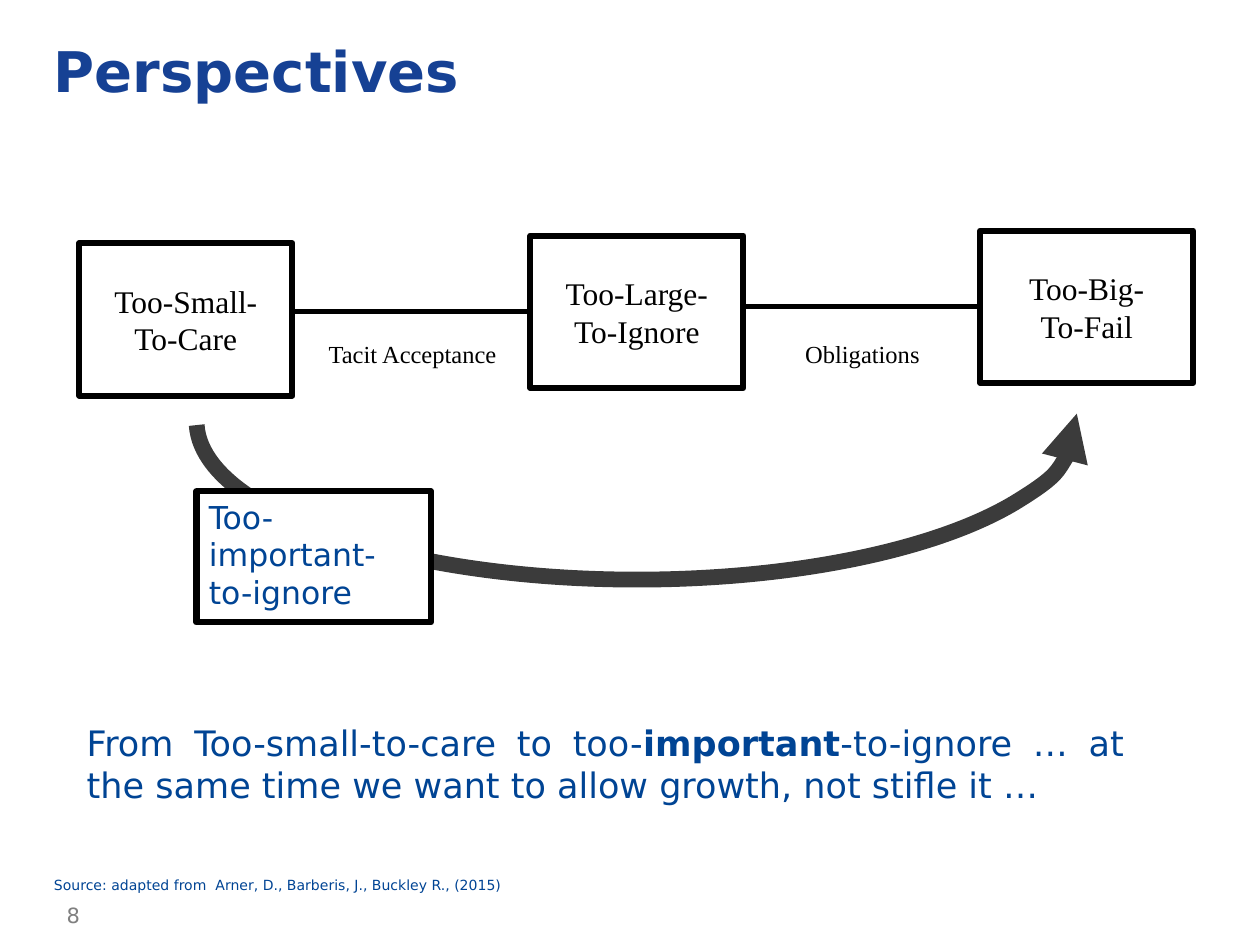
from lxml.etree import SubElement
from pptx import Presentation
from pptx.dml.color import RGBColor
from pptx.enum.shapes import MSO_CONNECTOR, MSO_SHAPE
from pptx.enum.text import MSO_ANCHOR, PP_ALIGN
from pptx.oxml.ns import qn
from pptx.util import Inches, Pt

BLACK = RGBColor(0x00, 0x00, 0x00)
WHITE = RGBColor(0xFF, 0xFF, 0xFF)
TITLE_BLUE = RGBColor(0x16, 0x41, 0x94)
TEXT_BLUE = RGBColor(0x00, 0x44, 0x94)
GREY = RGBColor(0x80, 0x80, 0x80)

SANS, SERIF = "DejaVu Sans", "Times New Roman"
BODY = {"alignment": PP_ALIGN.JUSTIFY, "space_after": Pt(18)}
CENTRED = {"alignment": PP_ALIGN.CENTER}
STAGE_SIZE = (1.69, 1.21)


class SlideBuilder:
    def __init__(self, slide):
        self.slide = slide

    def add_paragraphs(self, frame, paragraphs, size, color, font=SANS,
                       paragraph_format=None, bold=False, **frame_format):
        """Fill a frame; each paragraph is a list of strings, every second one bold."""
        for name, value in {"word_wrap": True, **frame_format}.items():
            setattr(frame, name, value)
        for index, parts in enumerate(paragraphs):
            paragraph = frame.paragraphs[0] if index == 0 else frame.add_paragraph()
            for name, value in (paragraph_format or {}).items():
                setattr(paragraph, name, value)
            for position, part in enumerate(parts):
                run = paragraph.add_run()
                run.text = part
                run.font.color.rgb = color
                font_format = {"name": font, "size": Pt(size),
                               "bold": bold or position % 2 == 1}
                for name, value in font_format.items():
                    setattr(run.font, name, value)

    def text(self, bounds, paragraphs, size, color, **options):
        box = self.slide.shapes.add_textbox(*map(Inches, bounds))
        self.add_paragraphs(box.text_frame, paragraphs, size, color, **options)

    def box(self, bounds, paragraphs, size, color, border=None, **options):
        box = self.slide.shapes.add_shape(MSO_SHAPE.RECTANGLE, *map(Inches, bounds))
        box.shadow.inherit = False
        box.fill.solid()
        box.fill.fore_color.rgb = WHITE
        if border:
            box.line.color.rgb = BLACK
            box.line.width = Pt(border)
        else:
            box.line.fill.background()
        self.add_paragraphs(box.text_frame, paragraphs, size, color, **options)
        return box

    def link(self, start, end):
        """Draw a level line from the right edge of start to the left side of end."""
        level = end.top + end.height // 2
        line = self.slide.shapes.add_connector(
            MSO_CONNECTOR.STRAIGHT, start.left + start.width, level, end.left, level)
        line.end_connect(end, 1)
        line.line.color.rgb = BLACK
        line.line.width = Pt(2.75)
        SubElement(line._element.spPr, qn("a:effectLst"))

    def curved_arrow(self, bounds):
        arc = self.slide.shapes.add_shape(MSO_SHAPE.ARC, *map(Inches, bounds))
        arc.rotation = 90
        arc.adjustments[0], arc.adjustments[1] = 161.39, 53.72
        arc.shadow.inherit = False
        arc.fill.background()
        arc.line.color.rgb = BLACK
        arc.line.width = Pt(9)
        outline = arc._element.spPr.find(qn("a:ln"))
        color = outline.find(".//" + qn("a:srgbClr"))
        SubElement(color, qn("a:alpha"), val="77000")
        SubElement(outline, qn("a:headEnd"), type="triangle")


def main():
    presentation = Presentation()
    presentation.slide_width, presentation.slide_height = Inches(10), Inches(7.5)
    builder = SlideBuilder(presentation.slides.add_slide(presentation.slide_layouts[6]))

    builder.text((0.43, 7.06, 2.33, 0.4), [["8"]], 12, GREY,
                 vertical_anchor=MSO_ANCHOR.MIDDLE, margin_top=0, margin_bottom=0)
    builder.curved_arrow((3.8, -0.15, 2.51, 6.99))
    builder.text((0.33, 0.24, 9.47, 0.64), [["Perspectives"]], 32, TITLE_BLUE, bold=True)
    builder.text((0.59, 5.68, 8.43, 0.86),
                 [["From Too-small-to-care to too-", "important",
                   "-to-ignore … at the same time we want to allow growth, not stifle it …"]],
                 20, TEXT_BLUE, paragraph_format=BODY)
    builder.box((1.56, 3.9, 1.86, 1.04), [["Too-important-to-ignore"]], 18, TEXT_BLUE,
                border=3.5, paragraph_format=BODY, vertical_anchor=MSO_ANCHOR.TOP)

    diagram_text = {"font": SERIF, "paragraph_format": CENTRED,
                    "vertical_anchor": MSO_ANCHOR.MIDDLE}
    stages = [
        builder.box((left, top, *STAGE_SIZE), [[first], [second]], 18, BLACK,
                    border=3.5, **diagram_text)
        for left, top, first, second in (
            (0.63, 1.93, "Too-Small-", "To-Care"),
            (4.21, 1.87, "Too-Large-", "To-Ignore"),
            (7.78, 1.83, "Too-Big-", "To-Fail"),
        )
    ]
    for left, label in ((2.43, "Tacit Acceptance"), (6, "Obligations")):
        builder.box((left, 2.2, *STAGE_SIZE), [[label]], 14, BLACK, **diagram_text)
    for start, end in zip(stages, stages[1:]):
        builder.link(start, end)

    builder.text((0.33, 6.91, 8.03, 0.21),
                 [["Source: adapted from  Arner, D., Barberis, J., Buckley R., (2015)"]],
                 8, TEXT_BLUE, paragraph_format=BODY)

    presentation.save("out.pptx")


if __name__ == "__main__":
    main()
